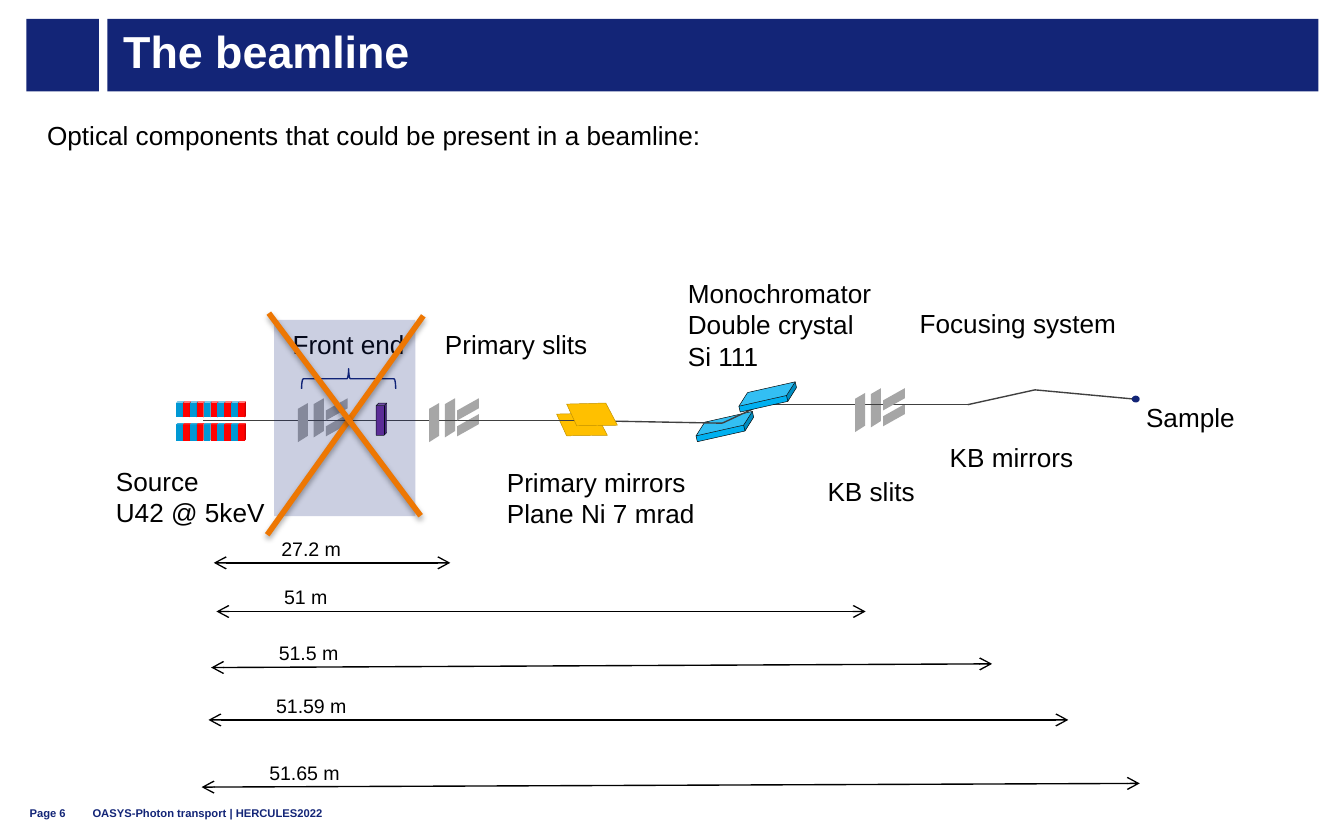
from itertools import pairwise
from lxml.etree import SubElement
from pptx import Presentation
from pptx.dml.color import RGBColor as RGB
from pptx.enum.shapes import MSO_CONNECTOR as LINE, MSO_SHAPE as SHAPE
from pptx.enum.text import MSO_ANCHOR as ANCHOR, PP_ALIGN as ALIGN
from pptx.oxml.ns import qn
from pptx.util import Cm, Pt

C = {"navy": "132577", "brace": "102377", "white": "FFFFFF", "black": "000000",
     "beam": "404040", "slit": "A6A6A6", "mirror": "FFC000", "edge": "BF9000",
     "crystal": "00B0F0", "blue": "0098D4", "red": "FF0000", "purple": "7030A0",
     "cross": "ED7703"}

prs = Presentation()
prs.slide_width, prs.slide_height = Cm(25.4), Cm(15.88)
s = prs.slides.add_slide(prs.slide_layouts[6])


def paint(sp, fill=None, line=None, width=0.25):
    sp.shadow.inherit = False
    if fill:
        sp.fill.solid()
        sp.fill.fore_color.rgb = RGB.from_string(C[fill])
    else:
        sp.fill.background()
    if line:
        sp.line.color.rgb = RGB.from_string(C[line])
        sp.line.width = Pt(width)
    else:
        sp.line.fill.background()
    return sp


def connect(start, end, color, width=0.75, arrows=False):
    cn = s.shapes.add_connector(LINE.STRAIGHT, *map(Cm, start + end))
    cn.line.color.rgb = RGB.from_string(C[color])
    cn.line.width = Pt(width)
    if arrows:
        for tag in ("a:headEnd", "a:tailEnd"):
            SubElement(cn.line._get_or_add_ln(), qn(tag), type="arrow")
    return SubElement(cn._element.spPr, qn("a:effectLst"))


# Slits, mirrors and crystals, some behind the beam and some in front of it
upright = [(0, 0.11), (0.19, 0), (0.19, 0.62), (0, 0.74)]
level = [(0, 0.23), (0.41, 0), (0.41, 0.19), (0, 0.42)]
plate = [(0, 0.02), (0.74, 0), (0.96, 0.42), (0.19, 0.43)]
blades = {"back": [(upright, 0.3, -0.09), (level, 0.53, 0.21)],
          "front": [(upright, 0, 0), (level, 0.53, -0.09)]}
slits = [(5.63, 7.62), (8.11, 7.62), (16.16, 7.43)]
mirrors = {"back": (10.52, 7.81), "front": (10.71, 7.62)}
crystals = {"back": (13.13, 7.9), "front": (13.94, 7.34)}
beam = [(3.84, 7.95), (10.95, 7.95), (13.65, 8), (14.4, 7.65), (18.29, 7.65),
        (19.56, 7.37), (21.39, 7.54)]

for layer in ("back", "front"):
    outlines = [(pts, x + dx, y + dy, "slit", None)
                for x, y in slits for pts, dx, dy in blades[layer]]
    outlines.append((plate, *mirrors[layer], "mirror", "edge"))
    for pts, x, y, fill, edge in outlines:
        corners = [(Cm(x + px), Cm(y + py)) for px, py in pts]
        fb = s.shapes.build_freeform(*corners[0])
        fb.add_line_segments(corners[1:])
        paint(fb.convert_to_shape(), fill, edge)
    x, y = crystals[layer]
    sp = s.shapes.add_shape(SHAPE.CUBE, Cm(x), Cm(y), Cm(1.14), Cm(0.33))
    sp.adjustments[0] = 0.66
    sp.rotation = 347.3
    paint(sp, "crystal", "black")
    if layer == "back":
        for start, end in pairwise(beam):
            connect(start, end, "beam")

# Undulator source: two rows of alternating magnets
for y, h in ((7.59, 0.3), (8, 0.33)):
    for i in range(10):
        sp = s.shapes.add_shape(SHAPE.CUBE, Cm(3.33 + 0.13 * i), Cm(y), Cm(0.15), Cm(h))
        sp.adjustments[0] = 0.16
        paint(sp, ("blue", "red")[i % 2])

# Front-end window, brace, sample point and header square
paint(s.shapes.add_shape(SHAPE.CUBE, Cm(7.11), Cm(7.62), Cm(0.2), Cm(0.61)), "purple", "black")
sp = s.shapes.add_shape(SHAPE.RIGHT_BRACE, Cm(6.4), Cm(6.27), Cm(0.38), Cm(1.78))
sp.rotation = 270
paint(sp, None, "brace", 0.75)
paint(s.shapes.add_shape(SHAPE.OVAL, Cm(21.39), Cm(7.48), Cm(0.15), Cm(0.13)), "navy")
paint(s.shapes.add_shape(SHAPE.RECTANGLE, Cm(0.5), Cm(0.36), Cm(1.37), Cm(1.37)), "navy")

# Distance arrows, each with its label above the left end
distances = [("27.2 m", (4.04, 10.64), (8.51, 10.64)),
             ("51 m", (4.09, 11.56), (16.36, 11.56)),
             ("51.5 m", (3.99, 12.62), (18.75, 12.55)),
             ("51.59 m", (3.94, 13.61), (20.19, 13.61)),
             ("51.65 m", (3.81, 14.88), (21.54, 14.81))]
for _, start, end in distances:
    connect(start, end, "black", arrows=True)

# Text
styles = {"title": {"size": Pt(24), "bold": True, "color": "white"},
          "label": {"size": Pt(14), "bold": False, "color": "black"},
          "distance": {"size": Pt(10.5), "bold": False, "color": "black"},
          "footer": {"size": Pt(6), "bold": True, "color": "navy"}}
frames = {"title": {"margin_left": Cm(0.3), "margin_right": Cm(0.3), "margin_top": 0,
                    "margin_bottom": 0, "vertical_anchor": ANCHOR.MIDDLE, "word_wrap": True},
          "label": {"word_wrap": True},
          "distance": {"word_wrap": True},
          "footer": {"margin_left": 0, "margin_right": 0, "margin_top": 0, "margin_bottom": 0,
                     "vertical_anchor": ANCHOR.BOTTOM, "word_wrap": True}}
texts = [
    ("title", ["The beamline"], 2.03, 0.36, 22.89, 1.37),
    ("footer", ["Page 6"], 0.56, 15.01, 1.14, 0.48),
    ("footer", ["OASYS-Photon transport | HERCULES2022"], 1.75, 15.01, 16.99, 0.48),
    ("label", ["Optical components that could be present in a beamline:"], 0.64, 2.13, 24.28, 0.86),
    ("label", ["Source", "U42 @ 5keV"], 1.94, 8.67, 3.5, 1.45),
    ("label", ["Front end"], 5.28, 6.08, 2.9, 0.86),
    ("label", ["Primary slits"], 8.16, 6.08, 3.4, 0.86),
    ("label", ["Primary mirrors", "Plane Ni 7 mrad"], 9.33, 8.69, 4.3, 1.45),
    ("label", ["Monochromator", "Double crystal", "Si 111"], 12.75, 5.12, 4.2, 2.06),
    ("label", ["Focusing system"], 17.13, 5.69, 4.5, 0.86),
    ("label", ["Sample"], 21.41, 7.47, 2.4, 0.86),
    ("label", ["KB mirrors"], 17.7, 8.22, 3.1, 0.86),
    ("label", ["KB slits"], 15.39, 8.86, 2.4, 0.86),
]
texts += [("distance", [label], x + 1.03, y - 0.62, 2.4, 0.72)
          for label, (x, y), _ in distances]
for kind, lines, *box in texts:
    box = [Cm(v) for v in box]
    if kind == "title":
        sp = paint(s.shapes.add_shape(SHAPE.RECTANGLE, *box), "navy")
    else:
        sp = s.shapes.add_textbox(*box)
    tf = sp.text_frame
    for name, value in frames[kind].items():
        setattr(tf, name, value)
    for i, line in enumerate(lines):
        p = tf.add_paragraph() if i else tf.paragraphs[0]
        p.alignment = ALIGN.LEFT
        if kind == "title":
            p.line_spacing = 0.85
        r = p.add_run()
        r.text = line
        r.font.name = "Arial"
        for name, value in styles[kind].items():
            if name == "color":
                r.font.color.rgb = RGB.from_string(C[value])
            else:
                setattr(r.font, name, value)

# Front end: translucent panel, crossed out
sp = paint(s.shapes.add_shape(SHAPE.RECTANGLE, Cm(5.18), Cm(6.05), Cm(2.67), Cm(3.71)), "navy")
SubElement(sp._element.spPr.find(qn("a:solidFill"))[0], qn("a:alpha"), val="22000")
for start, end in (((8, 5.97), (5.05, 10.11)), ((5.08, 5.92), (7.95, 9.75))):
    effects = connect(start, end, "cross", 3)
    shadow = SubElement(effects, qn("a:outerShdw"), blurRad="40000", dist="23000",
                        dir="5400000", rotWithShape="0")
    tint = SubElement(shadow, qn("a:srgbClr"), val=C["black"])
    SubElement(tint, qn("a:alpha"), val="35000")

prs.save("out.pptx")
